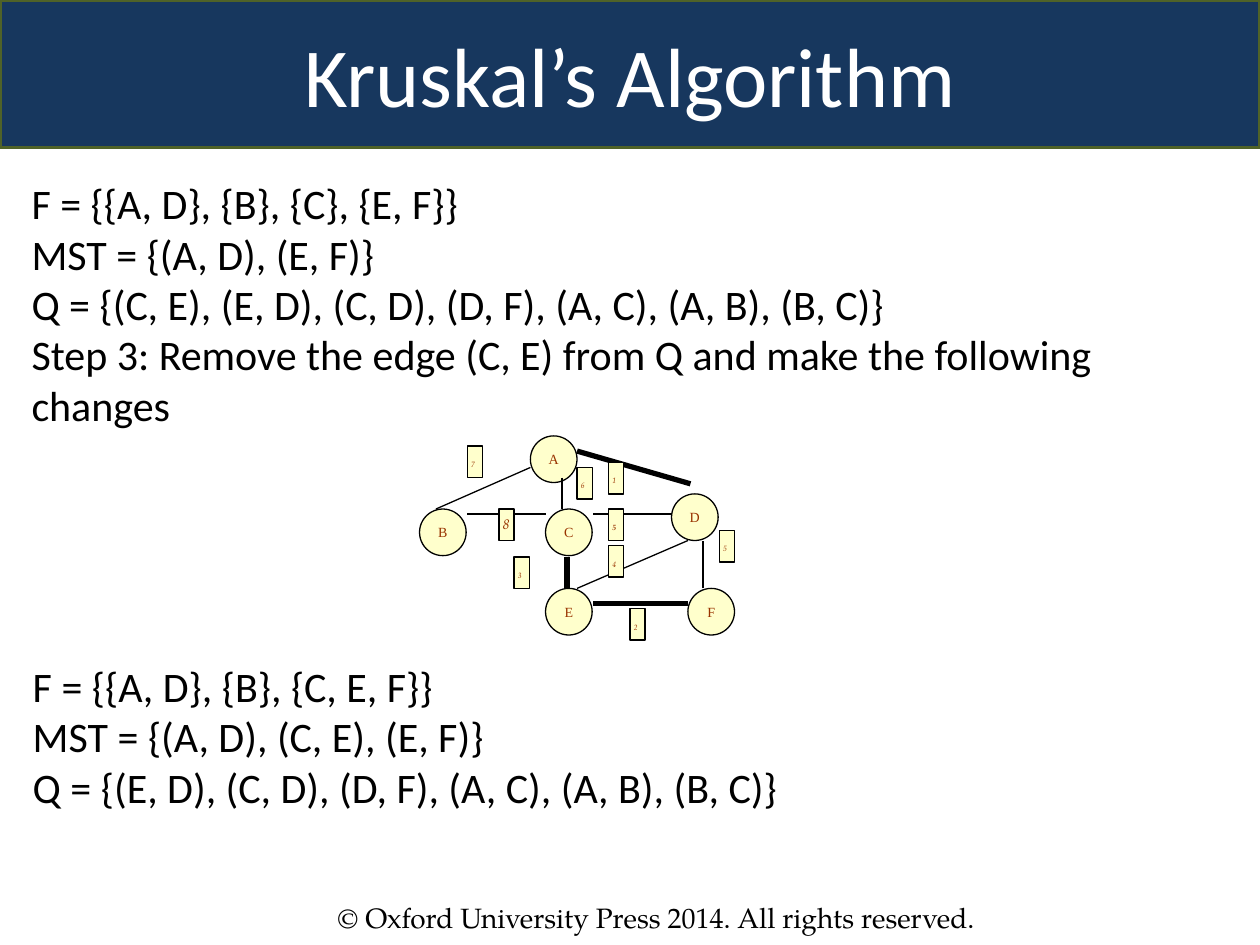
from lxml.etree import SubElement
from pptx import Presentation
from pptx.dml.color import RGBColor
from pptx.enum.shapes import MSO_CONNECTOR as Connector, MSO_SHAPE as Shape
from pptx.enum.text import MSO_ANCHOR as Anchor, MSO_AUTO_SIZE as AutoSize, PP_ALIGN as Align
from pptx.oxml.ns import qn
from pptx.util import Inches, Pt

NAVY = RGBColor(0x17, 0x37, 0x5E)
OLIVE = RGBColor(0x4F, 0x62, 0x28)
CREAM = RGBColor(0xFF, 0xFF, 0xCC)
RUST = RGBColor(0x99, 0x33, 0x00)
BLACK = RGBColor(0, 0, 0)
WHITE = RGBColor(0xFF, 0xFF, 0xFF)

SANS, SERIF, NODE_FONT = "Calibri", "TeX Gyre Pagella", "Times New Roman"
NODE_SIZE = 0.37
WEIGHT_WIDTH, WEIGHT_HEIGHT = 0.12, 0.25
THIN, THICK = 0.75, 3


class GraphSlide:
    """Holds the current slide and the style of its elements."""

    def __init__(self, slide):
        self.slide = slide
        self.graph = slide.shapes.add_group_shape().shapes

    def place(self, shape, left, top, width, height):
        shape.left, shape.top = Inches(left), Inches(top)
        shape.width, shape.height = Inches(width), Inches(height)

    def paint(self, shape, fill, line, width):
        shape.fill.solid()
        shape.fill.fore_color.rgb = fill
        shape.line.color.rgb = line
        shape.line.width = Pt(width)

    def frame(self, shape, insets, anchor, wrap=True):
        frame = shape.text_frame
        frame.auto_size = AutoSize.NONE
        frame.word_wrap = wrap
        frame.vertical_anchor = anchor
        (frame.margin_left, frame.margin_top,
         frame.margin_right, frame.margin_bottom) = map(Inches, insets)
        return frame

    def add_text(self, paragraph, text, font, size, color, align=Align.LEFT, bold=False, italic=False):
        paragraph.alignment = align
        run = paragraph.add_run()
        run.text = text
        run.font.name, run.font.size = font, Pt(size)
        run.font.color.rgb = color
        run.font.bold, run.font.italic = bold, italic

    def title(self, text):
        title = self.slide.shapes.title
        self.place(title, 0, 0, 10, 1.17)
        self.paint(title, NAVY, OLIVE, 2)
        frame = self.frame(title, (0.1, 0.05, 0.1, 0.05), Anchor.MIDDLE)
        self.add_text(frame.paragraphs[0], text, SANS, 48, WHITE, Align.CENTER)

    def state(self, index, box, lines, wrap=True):
        body = self.slide.placeholders[index]
        self.place(body, *box)
        frame = self.frame(body, (0, 0.17, 0, 0.04), Anchor.TOP, wrap)
        for number, line in enumerate(lines):
            paragraph = frame.add_paragraph() if number else frame.paragraphs[0]
            paragraph.space_before = Pt(0)
            properties = paragraph._p.get_or_add_pPr()
            properties.set("marL", "0")
            properties.set("indent", "0")
            SubElement(properties, qn("a:buNone"))
            self.add_text(paragraph, line, SANS, 24, BLACK)

    def graph_box(self, kind, left, top, width, height):
        box = self.graph.add_shape(kind, *map(Inches, (left, top, width, height)))
        box.shadow.inherit = False
        self.paint(box, CREAM, BLACK, THIN)
        return box

    def node(self, name, left, top):
        circle = self.graph_box(Shape.OVAL, left, top, NODE_SIZE, NODE_SIZE)
        frame = self.frame(circle, (0, 0, 0, 0), Anchor.MIDDLE, wrap=False)
        self.add_text(frame.paragraphs[0], name, NODE_FONT, 8, RUST, Align.CENTER)

    def edge(self, start, end, width):
        line = self.graph.add_connector(Connector.STRAIGHT, *map(Inches, start + end))
        line.line.color.rgb = BLACK
        line.line.width = Pt(width)
        SubElement(line._element.spPr, qn("a:effectLst"))

    def weight(self, value, left, top, size=4.4, inset_top=0.11, bold=False):
        box = self.graph_box(Shape.RECTANGLE, left, top, WEIGHT_WIDTH, WEIGHT_HEIGHT)
        frame = self.frame(box, (0.03, inset_top, 0, 0), Anchor.TOP)
        self.add_text(frame.paragraphs[0], value, SERIF, size, RUST, bold=bold, italic=True)

    def footer(self, text):
        box = self.slide.shapes.add_textbox(*map(Inches, (2.58, 7.1, 5.92, 0.37)))
        frame = self.frame(box, (0.1, 0.05, 0.1, 0.05), Anchor.TOP)
        self.add_text(frame.paragraphs[0], text, SERIF, 16, BLACK)


def main():
    deck = Presentation()
    deck.slide_width, deck.slide_height = Inches(10), Inches(7.5)
    page = GraphSlide(deck.slides.add_slide(deck.slide_layouts[3]))

    # Title and the state before and after the step
    page.title("Kruskal’s Algorithm")
    page.state(1, (0.25, 1.24, 9.5, 3.41), [
        "F = {{A, D}, {B}, {C}, {E, F}}",
        "MST = {(A, D), (E, F)}",
        "Q = {(C, E), (E, D), (C, D), (D, F), (A, C), (A, B), (B, C)}",
        "Step 3: Remove the edge (C, E) from Q and make the following changes",
    ])
    page.state(2, (0.26, 5.07, 5.92, 1.81), [
        "F = {{A, D}, {B}, {C, E, F}}",
        "MST = {(A, D), (C, E), (E, F)}",
        "Q = {(E, D), (C, D), (D, F), (A, C), (A, B), (B, C)}",
    ], wrap=False)

    # Graph nodes
    nodes = {"A": (4.21, 3.46), "B": (3.33, 4.04), "C": (4.33, 4.04),
             "D": (5.33, 3.92), "E": (4.33, 4.67), "F": (5.46, 4.67)}
    for name, corner in nodes.items():
        page.node(name, *corner)

    # Edges; those in the spanning tree are thick
    edges = [
        ((4.21, 3.71), (3.46, 4.04), THIN),   # A-B
        ((4.46, 3.79), (4.46, 4.04), THIN),   # A-C
        ((4.58, 3.58), (5.48, 3.84), THICK),  # A-D
        ((3.71, 4.08), (4.33, 4.08), THIN),   # B-C
        ((4.71, 4.08), (5.33, 4.08), THIN),   # C-D
        ((4.71, 4.79), (5.46, 4.79), THICK),  # E-F
        ((4.5, 4.67), (4.5, 4.42), THICK),    # C-E
        ((5.58, 4.67), (5.58, 4.29), THIN),   # D-F
        ((4.58, 4.67), (5.46, 4.29), THIN),   # E-D
    ]
    for start, end, width in edges:
        page.edge(start, end, width)

    # Edge weights
    weights = [("1", 4.83, 3.67), ("2", 5, 4.83), ("3", 4.08, 4.42), ("5", 5.71, 4.21),
               ("4", 4.83, 4.33), ("6", 4.58, 3.71), ("7", 3.71, 3.54)]
    for value, left, top in weights:
        page.weight(value, left, top)
    page.weight("5", 4.83, 4.04, bold=True)
    page.weight("8", 3.96, 4.04, size=8, inset_top=0.05)

    page.footer("© Oxford University Press 2014. All rights reserved.")
    deck.save("out.pptx")


if __name__ == "__main__":
    main()
